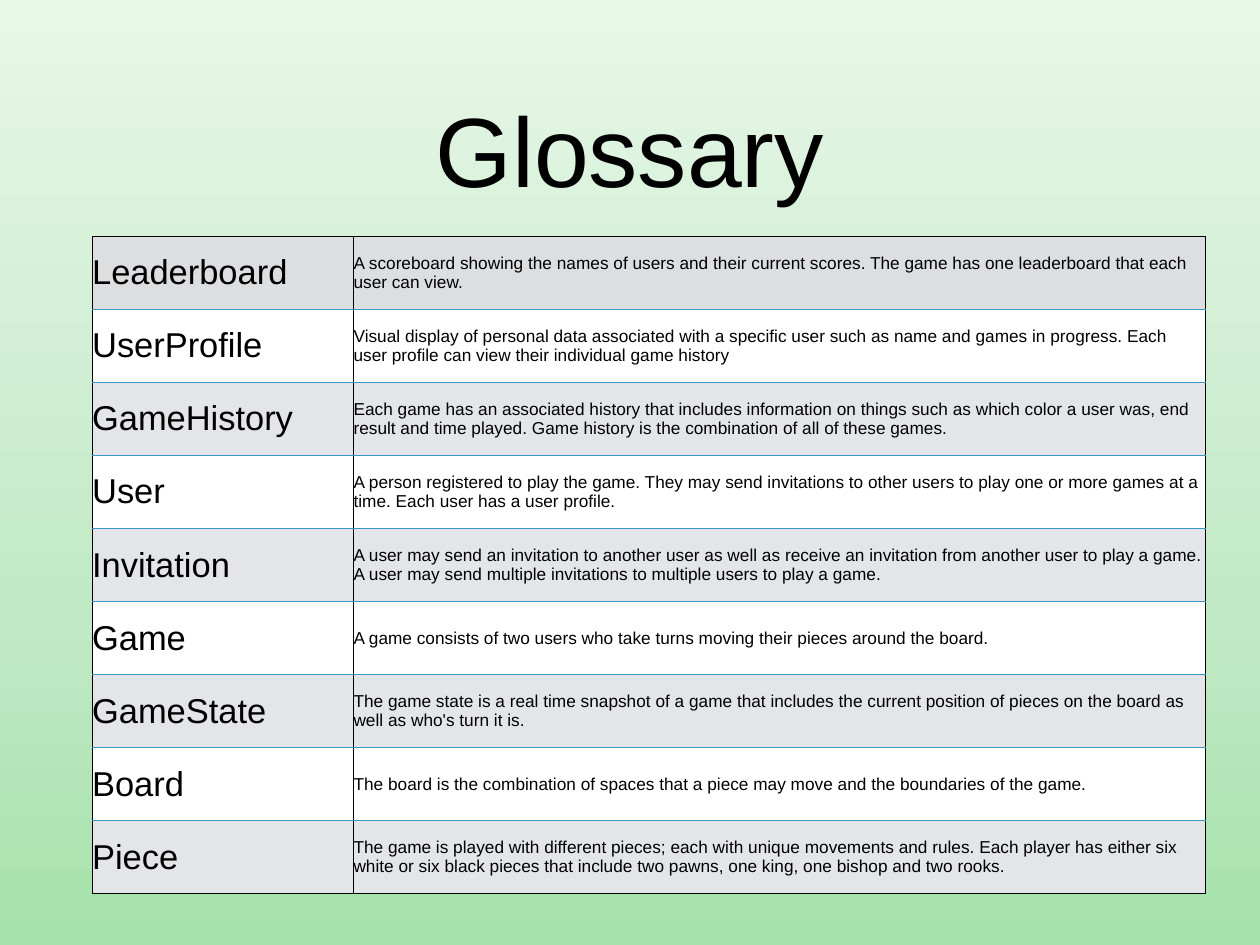
from copy import deepcopy

from pptx import Presentation
from pptx.dml.color import RGBColor
from pptx.enum.text import MSO_ANCHOR, PP_ALIGN
from pptx.oxml.ns import qn
from pptx.util import Inches, Pt
from lxml.etree import SubElement

BLACK = RGBColor(0x00, 0x00, 0x00)
BLUE = RGBColor(0x37, 0x97, 0xC6)
WHITE = RGBColor(0xFF, 0xFF, 0xFF)
FIRST_ROW_GRAY = RGBColor(0xDC, 0xDE, 0xE0)
BAND_GRAY = RGBColor(0xE3, 0xE5, 0xE8)
BACKGROUND_STOPS = [
    (0, RGBColor(0xA6, 0xE2, 0xAB)),
    (0.35, RGBColor(0xC1, 0xE9, 0xC5)),
    (1, RGBColor(0xE7, 0xF7, 0xE8)),
]

TITLE_BOX = (1.04, 0.49, 12.14, 2.36)
TABLE_BOX = (1.04, 2.67, 12.56, 7.42)
TERM_WIDTH = 2.95
TERM_FORMAT = {"size": Pt(28), "name": "Arial"}
DEFINITION_FORMAT = {"size": Pt(14), "name": "Arial"}
TITLE_FORMAT = {"size": Pt(80), "name": "Arial"}
MARGINS = ("margin_left", "margin_top", "margin_right", "margin_bottom")

GLOSSARY = [
    ("Leaderboard", "A scoreboard showing the names of users and their current scores. "
     "The game has one leaderboard that each user can view."),
    ("UserProfile", "Visual display of personal data associated with a specific user such as "
     "name and games in progress. Each user profile can view their individual game history"),
    ("GameHistory", "Each game has an associated history that includes information on things "
     "such as which color a user was, end result and time played. Game history is the "
     "combination of all of these games."),
    ("User", "A person registered to play the game. They may send invitations to other users "
     "to play one or more games at a time. Each user has a user profile."),
    ("Invitation", "A user may send an invitation to another user as well as receive an "
     "invitation from another user to play a game. A user may send multiple invitations to "
     "multiple users to play a game."),
    ("Game", "A game consists of two users who take turns moving their pieces around the board."),
    ("GameState", "The game state is a real time snapshot of a game that includes the current "
     "position of pieces on the board as well as who's turn it is."),
    ("Board", "The board is the combination of spaces that a piece may move and the boundaries "
     "of the game."),
    ("Piece", "The game is played with different pieces; each with unique movements and rules. "
     "Each player has either six white or six black pieces that include two pawns, one king, "
     "one bishop and two rooks."),
]


def set_attributes(target, values):
    for name, value in values.items():
        setattr(target, name, value)


def write_text(paragraph, text, font_format):
    run = paragraph.add_run()
    run.text = text
    set_attributes(run.font, font_format)
    run.font.color.rgb = BLACK


def paint_background(slide):
    fill = slide.background.fill
    fill.gradient()
    fill.gradient_angle = 90  # from bottom to top
    stop_list = slide.element.find(".//" + qn("a:gsLst"))
    stop_list.insert(1, deepcopy(stop_list[0]))
    for stop, (position, color) in zip(fill.gradient_stops, BACKGROUND_STOPS):
        stop.position = position
        stop.color.rgb = color


def add_title(slide, box, text):
    frame = slide.shapes.add_textbox(*map(Inches, box)).text_frame
    set_attributes(frame, {"word_wrap": True, "vertical_anchor": MSO_ANCHOR.MIDDLE})
    set_attributes(frame, dict.fromkeys(MARGINS, Inches(0.06)))
    frame.paragraphs[0].alignment = PP_ALIGN.CENTER
    write_text(frame.paragraphs[0], text, TITLE_FORMAT)


def set_borders(cell, colors):
    properties = cell._tc.get_or_add_tcPr()
    for side, color in colors.items():
        line = SubElement(properties, qn("a:ln" + side), w=str(Pt(1)))
        solid = SubElement(line, qn("a:solidFill"))
        SubElement(solid, qn("a:srgbClr"), val=str(color))


def add_glossary(slide, box, entries):
    left, top, width, height = map(Inches, box)
    table = slide.shapes.add_table(len(entries), 2, left, top, width, height).table
    set_attributes(table, {"first_row": False, "horz_banding": False})
    table.columns[0].width = Inches(TERM_WIDTH)
    table.columns[1].width = width - Inches(TERM_WIDTH)
    last = len(entries) - 1

    for index, entry in enumerate(entries):
        # Gray and white bands, with a darker first row
        band = WHITE if index % 2 else BAND_GRAY
        color = FIRST_ROW_GRAY if index == 0 else band
        # Black frame, blue lines between the rows
        borders = {"L": BLACK, "R": BLACK,
                   "T": BLACK if index == 0 else BLUE,
                   "B": BLACK if index == last else BLUE}
        formats = (TERM_FORMAT, DEFINITION_FORMAT)
        for cell, text, font_format in zip(table.rows[index].cells, entry, formats):
            set_attributes(cell, dict.fromkeys(MARGINS, 0))
            cell.vertical_anchor = MSO_ANCHOR.MIDDLE
            set_borders(cell, borders)
            cell.fill.solid()
            cell.fill.fore_color.rgb = color
            write_text(cell.text_frame.paragraphs[0], text, font_format)


def main():
    presentation = Presentation()
    presentation.slide_width = Inches(14.22)
    presentation.slide_height = Inches(10.67)
    slide = presentation.slides.add_slide(presentation.slide_layouts[6])
    paint_background(slide)
    add_title(slide, TITLE_BOX, "Glossary")
    add_glossary(slide, TABLE_BOX, GLOSSARY)
    presentation.save("out.pptx")


if __name__ == "__main__":
    main()
